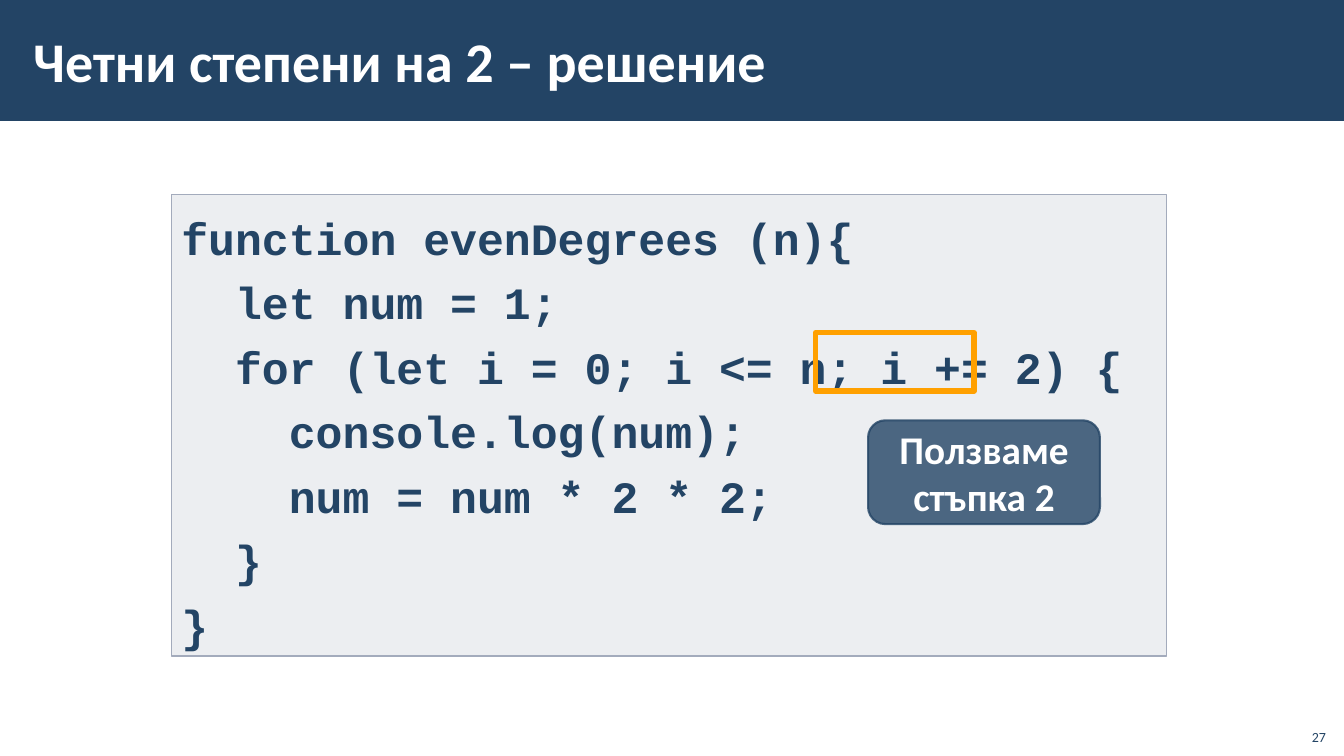
from lxml import etree
from pptx import Presentation
from pptx.dml.color import RGBColor
from pptx.enum import shapes, text
from pptx.oxml.ns import qn
from pptx.util import Inches, Pt

NAVY, GREY, ORANGE, WHITE = "234465", "A3ABBC", "FFA000", "FFFFFF"

TITLE = "Четни степени на 2 – решение"
CODE = [
    "function evenDegrees (n){",
    "  let num = 1;",
    "  for (let i = 0; i <= n; i += 2) {",
    "    console.log(num);",
    "    num = num * 2 * 2;",
    "  }",
    "}",
]
CALLOUT = "Ползваме стъпка 2"
PAGE_NUMBER = "27"

# left, top, width, height in inches
HEADER_AT = (0, 0, 13.33, 1.2)
TITLE_AT = (0.21, 0.11, 10.63, 0.97)
CODE_AT = (1.7, 1.93, 9.87, 4.58)
HIGHLIGHT_AT = (8.09, 3.3, 1.57, 0.58)
CALLOUT_AT = (8.61, 4.17, 2.3, 1.03)
NUMBER_AT = (12.85, 7.12, 0.4, 0.32)


def paint(color_format, hex_color, opacity=100):
    """Set a solid colour, with an opacity in percent."""
    color_format.rgb = RGBColor.from_string(hex_color)
    if opacity < 100:
        color = color_format._xFill.find(qn("a:srgbClr"))
        etree.SubElement(color, qn("a:alpha"), val=str(opacity * 1000))


def add_panel(page, kind, at, fill=None, line=None, width=1, opacity=100, line_opacity=100):
    panel = page.shapes.add_shape(kind, *map(Inches, at))
    panel.shadow.inherit = False
    if fill:
        panel.fill.solid()
        paint(panel.fill.fore_color, fill, opacity)
    else:
        panel.fill.background()
    if line:
        panel.line.width = Pt(width)
        panel.line.fill.solid()
        paint(panel.line.fill.fore_color, line, line_opacity)
    else:
        panel.line.fill.background()
    return panel


def write(box, lines, size, color, font="Calibri", bold=True, align=text.PP_ALIGN.LEFT,
          anchor=text.MSO_ANCHOR.MIDDLE, spacing=1.0):
    frame = box.text_frame
    frame.word_wrap = True
    frame.vertical_anchor = anchor
    frame.text = "\n".join(lines)
    for para in frame.paragraphs:
        para.alignment = align
        para.line_spacing = spacing
        for span in para.runs:
            span.font.name = font
            span.font.size = Pt(size)
            span.font.bold = bold
            paint(span.font.color, color)


def main():
    deck = Presentation()
    deck.slide_width, deck.slide_height = Inches(13.33), Inches(7.5)
    page = deck.slides.add_slide(deck.slide_layouts[6])
    rectangle = shapes.MSO_SHAPE.RECTANGLE

    add_panel(page, rectangle, HEADER_AT, NAVY)

    code = add_panel(page, rectangle, CODE_AT, GREY, GREY, opacity=20)
    write(code, CODE, 32, NAVY, "Courier New", anchor=text.MSO_ANCHOR.TOP, spacing=1.2)

    add_panel(page, rectangle, HIGHLIGHT_AT, line=ORANGE, width=4)

    number = page.shapes.add_textbox(*map(Inches, NUMBER_AT))
    write(number, [PAGE_NUMBER], 10, NAVY, bold=False, align=text.PP_ALIGN.RIGHT,
          anchor=text.MSO_ANCHOR.BOTTOM)

    title = page.shapes.add_textbox(*map(Inches, TITLE_AT))
    title.text_frame.margin_left = title.text_frame.margin_right = Inches(0.12)
    write(title, [TITLE], 40, WHITE)

    callout = add_panel(page, shapes.MSO_SHAPE.ROUNDED_RECTANGLE, CALLOUT_AT, NAVY, NAVY,
                        width=1.5, opacity=80, line_opacity=80)
    write(callout, [CALLOUT], 28, WHITE, align=text.PP_ALIGN.CENTER)

    deck.save("out.pptx")


if __name__ == "__main__":
    main()
